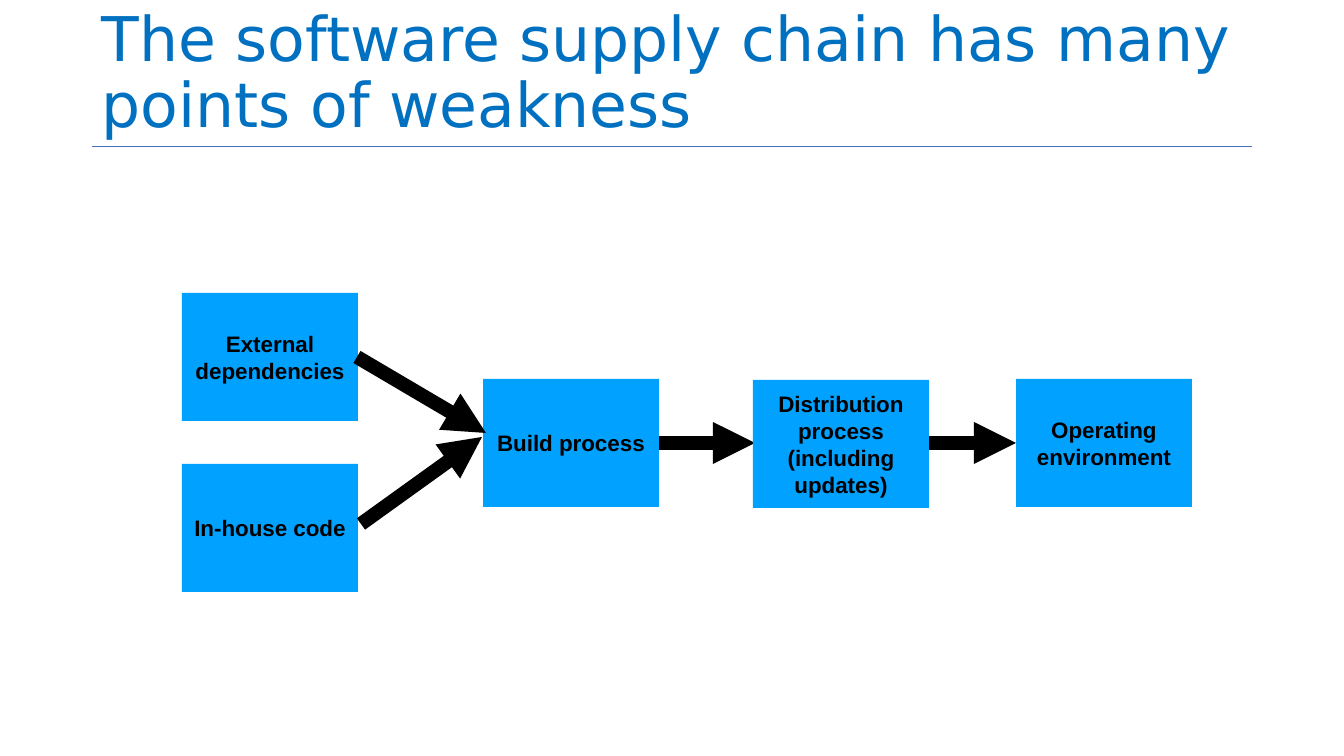
from dataclasses import dataclass

from lxml import etree
from pptx import Presentation
from pptx import util as u
from pptx.dml.color import RGBColor
from pptx.enum import shapes, text
from pptx.oxml import ns

EMU_PER_PX = 914400 / 100.8
BOX_WIDTH, BOX_HEIGHT = 176, 128
TITLE_LEFT, TITLE_WIDTH, TITLE_BOTTOM = 92, 1160, 146
TITLE_BLUE, RULE_BLUE, STAGE_BLUE, BLACK = "0070C0", "4472C4", "00A1FF", "000000"


@dataclass(frozen=True)
class Stage:
    label: str
    left: int
    top: int


@dataclass(frozen=True)
class Line:
    x1: int
    y1: int
    x2: int
    y2: int
    color: str = BLACK
    points: float = 10
    arrow: bool = True


TITLE_RULE = Line(TITLE_LEFT, TITLE_BOTTOM, TITLE_LEFT + TITLE_WIDTH, TITLE_BOTTOM,
                  RULE_BLUE, 0.5, False)
STRAIGHT_FLOWS = (
    Line(659, 443, 755, 443),
    Line(921, 443, 1016, 443),
)
STAGES = (
    Stage("In-house code", 182, 464),
    Stage("External dependencies", 182, 293),
    Stage("Build process", 483, 379),
    Stage("Operating environment", 1016, 379),
    Stage("Distribution process (including updates)", 753, 380),
)
MERGING_FLOWS = (
    Line(357, 357, 486, 433),
    Line(361, 524, 482, 437),
)


def px(length: int) -> u.Emu:
    return u.Emu(round(length * EMU_PER_PX))


def rgb(color: str) -> RGBColor:
    return RGBColor.from_string(color)


def apply(target, formats: dict) -> None:
    for key, value in formats.items():
        setattr(target, key, value)


def write(shape, wording: str, frame: dict, paragraph: dict, font: dict, color: str) -> None:
    apply(shape.text_frame, {"word_wrap": True, **frame})
    line = shape.text_frame.paragraphs[0]
    apply(line, paragraph)
    run = line.add_run()
    run.text = wording
    apply(run.font, font)
    run.font.color.rgb = rgb(color)


def draw_line(slide, line: Line) -> None:
    ends = map(px, (line.x1, line.y1, line.x2, line.y2))
    connector = slide.shapes.add_connector(shapes.MSO_CONNECTOR.STRAIGHT, *ends)
    connector.line.width = u.Pt(line.points)
    connector.line.color.rgb = rgb(line.color)
    if line.arrow:
        etree.SubElement(connector.line._get_or_add_ln(), ns.qn("a:tailEnd"), type="triangle")
    etree.SubElement(connector._element.spPr, ns.qn("a:effectLst"))


def draw_stage(slide, stage: Stage) -> None:
    area = map(px, (stage.left, stage.top, BOX_WIDTH, BOX_HEIGHT))
    box = slide.shapes.add_shape(shapes.MSO_SHAPE.RECTANGLE, *area)
    box.shadow.inherit = False
    box.fill.solid()
    box.fill.fore_color.rgb = rgb(STAGE_BLUE)
    box.line.fill.background()
    margins = dict.fromkeys(
        ("margin_left", "margin_right", "margin_top", "margin_bottom"), px(3))
    write(box, stage.label,
          {"vertical_anchor": text.MSO_ANCHOR.MIDDLE, **margins},
          {"alignment": text.PP_ALIGN.CENTER},
          {"name": "Arial", "size": u.Pt(16), "bold": True}, BLACK)


def draw_title(slide, wording: str) -> None:
    title = slide.shapes.add_textbox(*map(px, (TITLE_LEFT, 0, TITLE_WIDTH, TITLE_BOTTOM)))
    write(title, wording, {"vertical_anchor": text.MSO_ANCHOR.BOTTOM},
          {"line_spacing": 0.9}, {"name": "DejaVu Sans", "size": u.Pt(44)}, TITLE_BLUE)


def main() -> None:
    deck = Presentation()
    apply(deck, {"slide_width": px(1344), "slide_height": px(756)})
    slide = deck.slides.add_slide(deck.slide_layouts[6])
    draw_line(slide, TITLE_RULE)
    draw_title(slide, "The software supply chain has many points of weakness")
    for flow in STRAIGHT_FLOWS:
        draw_line(slide, flow)
    for stage in STAGES:
        draw_stage(slide, stage)
    for flow in MERGING_FLOWS:
        draw_line(slide, flow)
    deck.save("out.pptx")


if __name__ == "__main__":
    main()
